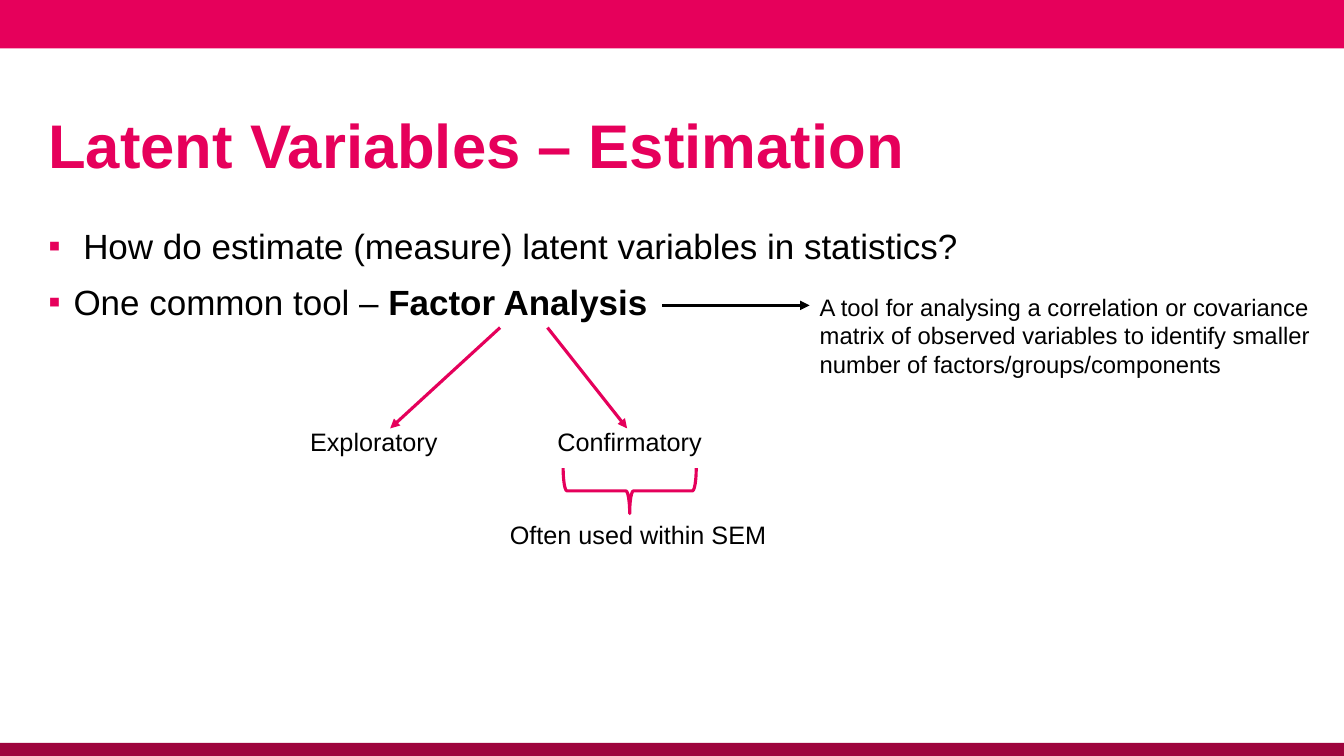
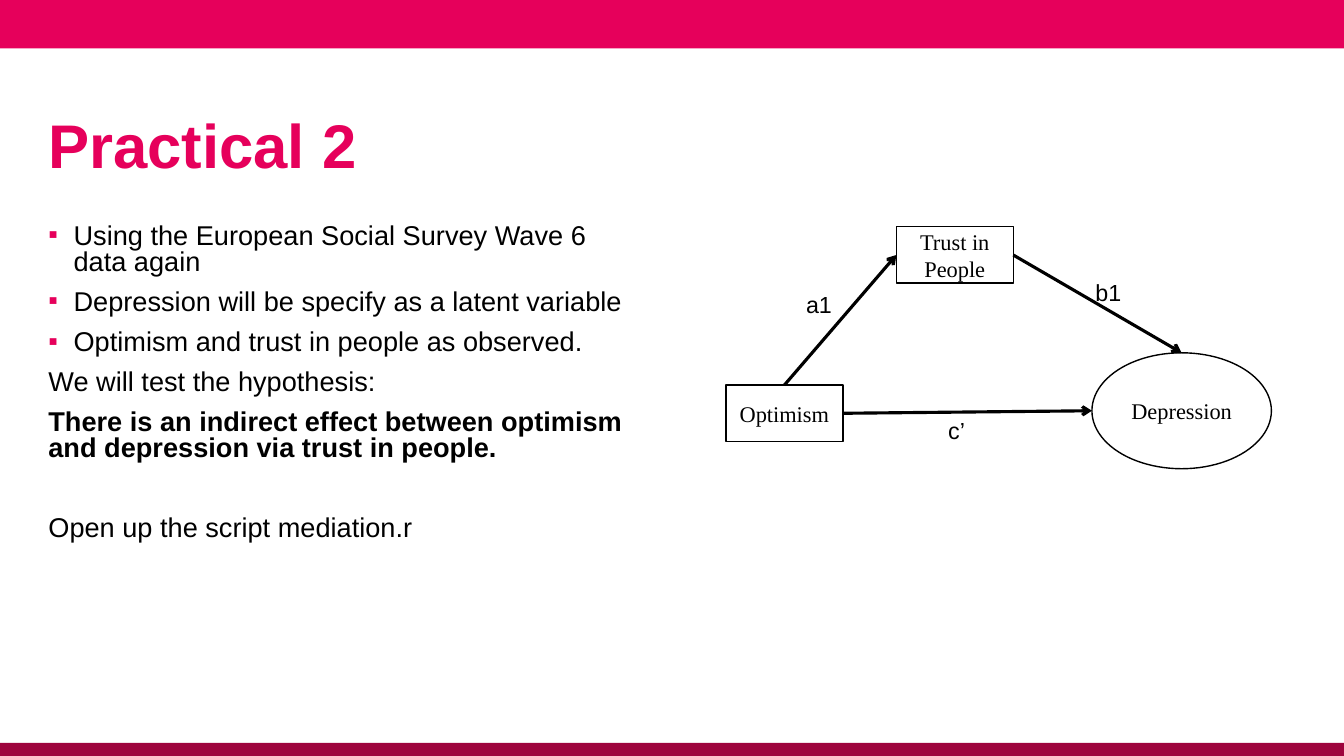
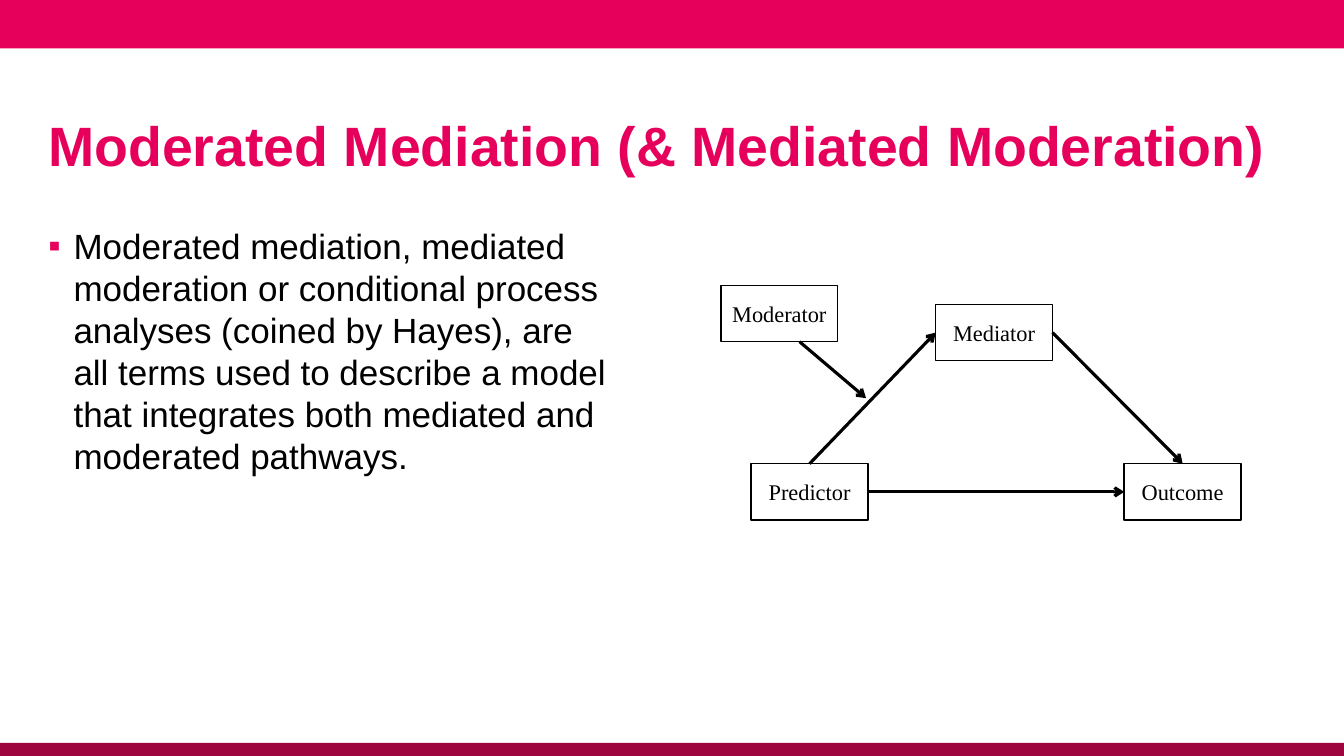
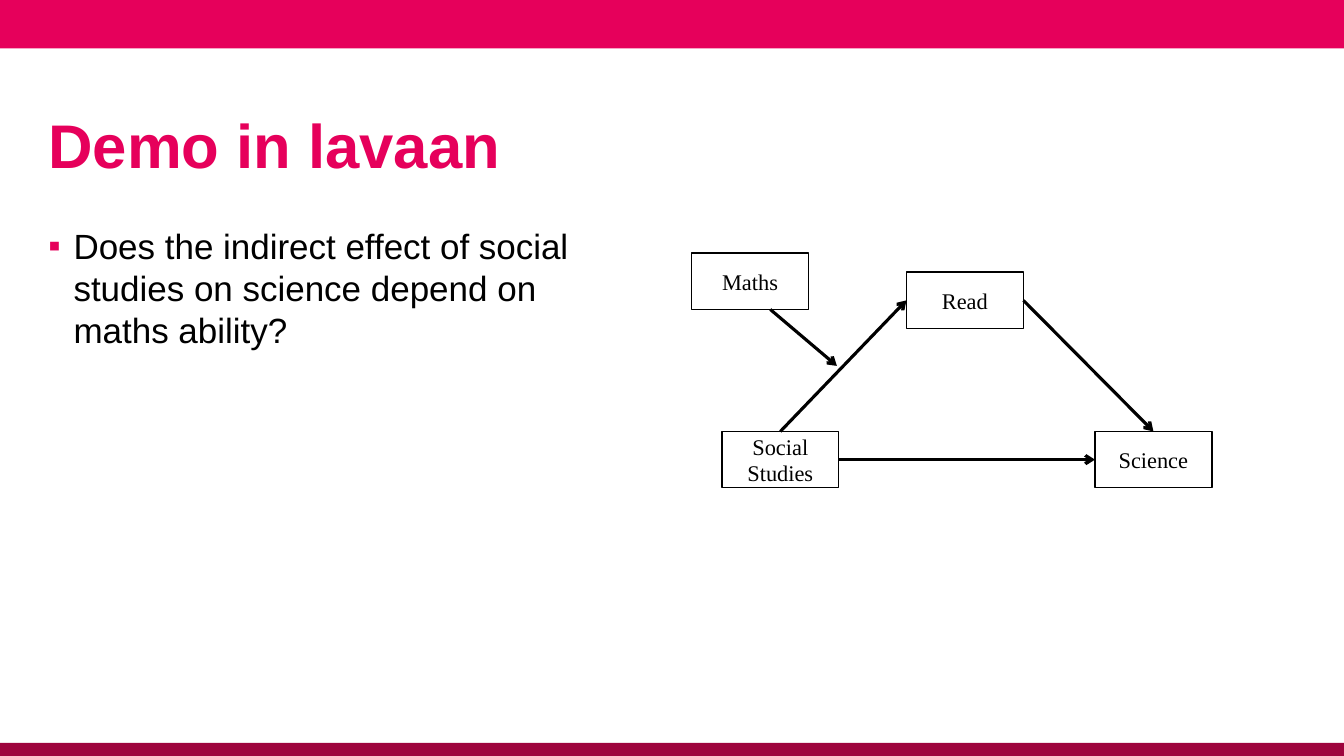
from dataclasses import dataclass

from lxml import etree
from pptx import Presentation
from pptx.dml.color import RGBColor
from pptx.enum.shapes import MSO_CONNECTOR, MSO_SHAPE
from pptx.enum.text import MSO_ANCHOR, PP_ALIGN
from pptx.oxml.ns import qn
from pptx.util import Inches, Pt

RECT, ELLIPSE, BRACE = MSO_SHAPE.RECTANGLE, MSO_SHAPE.OVAL, MSO_SHAPE.RIGHT_BRACE
STRAIGHT = MSO_CONNECTOR.STRAIGHT
TOP, MIDDLE, BOTTOM = MSO_ANCHOR.TOP, MSO_ANCHOR.MIDDLE, MSO_ANCHOR.BOTTOM
LEFT, CENTER, RIGHT = PP_ALIGN.LEFT, PP_ALIGN.CENTER, PP_ALIGN.RIGHT

SLIDE_W, SLIDE_H = 13.33, 7.5
TITLE_BOX = (0.48, 0.88, 12.36, 1.1)
BODY_X, BODY_Y, BODY_H = 0.48, 2.18, 4.06
NODE_W, NODE_H = 1.16, 0.56
TEXT_INSETS = (0, 0.05, 0.1, 0.05)
NO_INSETS = (0, 0, 0, 0)


@dataclass(frozen=True)
class Theme:
    pink: RGBColor = RGBColor(0xE6, 0x00, 0x5B)
    accent: RGBColor = RGBColor(0xE5, 0x00, 0x5B)
    wine: RGBColor = RGBColor(0x9E, 0x04, 0x3D)
    black: RGBColor = RGBColor(0x00, 0x00, 0x00)
    sans: str = "Arial"
    serif: str = "Times New Roman"
    title: float = 44
    long_title: float = 39.6
    body: float = 25
    dense_body: float = 19.4
    caption: float = 18
    note: float = 17
    path_label: float = 16.6
    node: float = 16
    thin: float = 1
    thick: float = 2.25


T = Theme()


# Text
def add_run(p, text, size, color=T.black, bold=False, font=T.sans):
    r = p.add_run()
    r.text = text
    r.font.name, r.font.size, r.font.bold = font, Pt(size), bold
    r.font.color.rgb = color


def set_frame(tf, anchor, insets):
    tf.word_wrap = True
    tf.vertical_anchor = anchor
    (tf.margin_left, tf.margin_top,
     tf.margin_right, tf.margin_bottom) = map(Inches, insets)


def add_text(slide, box, lines, size, align=LEFT, anchor=BOTTOM,
             insets=NO_INSETS, **style):
    tf = slide.shapes.add_textbox(*map(Inches, box)).text_frame
    set_frame(tf, anchor, insets)
    for i, line in enumerate(lines):
        p = tf.add_paragraph() if i else tf.paragraphs[0]
        p.alignment = align
        add_run(p, line, size, **style)


def add_label(slide, text, right, bottom, size):
    """Right-aligned caption that ends at the given corner."""
    w, h = 3, 0.33
    add_text(slide, (right - w, bottom - h, w, h), [text], size, RIGHT)


def add_bullet(p):
    pPr = p._p.get_or_add_pPr()
    pPr.set("marL", str(Inches(0.25)))
    pPr.set("indent", str(-Inches(0.25)))
    color = etree.SubElement(pPr, qn("a:buClr"))
    etree.SubElement(color, qn("a:srgbClr"), val=str(T.pink))
    etree.SubElement(pPr, qn("a:buFont"), typeface=T.sans)
    etree.SubElement(pPr, qn("a:buChar"), char="▪")


def add_body(slide, width, paragraphs, size=T.body, spacing=1.0):
    """Each paragraph is (runs, bulleted, space before); a run is (text, bold)."""
    box = (BODY_X, BODY_Y, width, BODY_H)
    tf = slide.shapes.add_textbox(*map(Inches, box)).text_frame
    set_frame(tf, TOP, TEXT_INSETS)
    for i, (runs, bulleted, before) in enumerate(paragraphs):
        p = tf.add_paragraph() if i else tf.paragraphs[0]
        p.line_spacing, p.space_before = spacing, Pt(before)
        if bulleted:
            add_bullet(p)
        for text, bold in runs:
            add_run(p, text, size, bold=bold)


def para(text, bulleted=True, bold=False, before=10):
    return [(text, bold)], bulleted, before


# Shapes and lines
def add_shape(slide, kind, box, fill=None, line=None, width=T.thin):
    s = slide.shapes.add_shape(kind, *map(Inches, box))
    s.shadow.inherit = False
    if fill is None:
        s.fill.background()
    else:
        s.fill.solid()
        s.fill.fore_color.rgb = fill
    if line is None:
        s.line.fill.background()
    else:
        s.line.color.rgb, s.line.width = line, Pt(width)
    return s


def add_arrow(slide, start, end, color=T.black, head="arrow"):
    c = slide.shapes.add_connector(STRAIGHT, *map(Inches, (*start, *end)))
    c.line.color.rgb, c.line.width = color, Pt(T.thick)
    etree.SubElement(c.line._get_or_add_ln(), qn("a:tailEnd"), type=head)
    etree.SubElement(c._element.spPr, qn("a:effectLst"))
    return c


def add_node(slide, text, x, y, w=NODE_W, h=NODE_H, kind=RECT):
    s = add_shape(slide, kind, (x, y, w, h), line=T.black)
    set_frame(s.text_frame, MIDDLE, (0.1, 0.05, 0.1, 0.05))
    p = s.text_frame.paragraphs[0]
    p.alignment = CENTER
    add_run(p, text, T.node, font=T.serif)
    return s


def site(s, side):
    """Connection site number and point on one side of a node."""
    step = 2 if s.auto_shape_type == ELLIPSE else 1
    mid_x, mid_y = s.left + s.width // 2, s.top + s.height // 2
    index, point = {"top": (0, (mid_x, s.top)),
                    "left": (1, (s.left, mid_y)),
                    "right": (3, (s.left + s.width, mid_y))}[side]
    return index * step, point


def link(slide, source, source_side, target, target_side):
    i, start = site(source, source_side)
    j, end = site(target, target_side)
    c = add_arrow(slide, (0, 0), (1, 1))
    c.begin_connect(source, i)
    c.end_connect(target, j)
    c.begin_x, c.begin_y = start
    c.end_x, c.end_y = end


# Path diagrams
def mediation_paths(slide, predictor, mediator, outcome):
    link(slide, predictor, "right", outcome, "left")
    link(slide, predictor, "top", mediator, "left")
    link(slide, mediator, "right", outcome, "top")


def latent_mediation(slide, x, y):
    predictor = add_node(slide, "Optimism", x, y + 1.57)
    mediator = add_node(slide, "Trust in People", x + 1.69, y)
    outcome = add_node(slide, "Depression", x + 3.63, y + 1.25, 1.78, 1.15, ELLIPSE)
    mediation_paths(slide, predictor, mediator, outcome)
    for text, right, bottom in (("a1", 1.05, 0.91), ("b1", 3.92, 0.79),
                                ("c’", 2.37, 2.16)):
        add_label(slide, text, x + right, y + bottom, T.path_label)


def moderated_mediation(slide, x, y, moderator, predictor, mediator, outcome):
    add_node(slide, moderator, x, y)
    mediation_paths(slide,
                    add_node(slide, predictor, x + 0.3, y + 1.77),
                    add_node(slide, mediator, x + 2.13, y + 0.19),
                    add_node(slide, outcome, x + 4, y + 1.77))
    add_arrow(slide, (x + 0.78, y + NODE_H), (x + 1.44, y + 1.12))


def factor_analysis_tree(slide, x, y):
    """Two branches below the term, and its definition on the right."""
    for start, end in ((1.09, 0), (1.56, 2.35)):
        add_arrow(slide, (x + start, y), (x + end, y + 1), T.accent, "triangle")
    add_label(slide, "Exploratory", x + 0.47, y + 1.28, T.caption)
    add_label(slide, "Confirmatory", x + 3.09, y + 1.28, T.caption)
    brace = add_shape(slide, BRACE, (x + 2.15, y + 0.96, 0.45, 1.32),
                      line=T.accent, width=T.thick)
    brace.rotation = 90
    add_label(slide, "Often used within SEM", x + 3.73, y + 2.2, T.caption)
    add_arrow(slide, (x + 2.7, y - 0.22), (x + 4.16, y - 0.22), head="triangle")
    add_text(slide, (x + 4.26, y - 0.4, 5, 0.9),
             ["A tool for analysing a correlation or covariance",
              "matrix of observed variables to identify smaller",
              "number of factors/groups/components"], T.note)


# Slides
def base_slide(prs, title, size=T.title):
    slide = prs.slides.add_slide(prs.slide_layouts[6])
    add_shape(slide, RECT, (0, 0, SLIDE_W, 0.48), fill=T.pink)
    add_shape(slide, RECT, (0, 7.37, SLIDE_W, 0.13), fill=T.wine)
    add_text(slide, TITLE_BOX, [title], size, anchor=MIDDLE,
             insets=TEXT_INSETS, color=T.pink, bold=True)
    return slide


def estimation_slide(prs):
    slide = base_slide(prs, "Latent Variables – Estimation")
    tool = [("One common tool – ", False), ("Factor Analysis", True)]
    add_body(slide, 12.36, [
        para(" How do estimate (measure) latent variables in statistics?"),
        (tool, True, 10)])
    factor_analysis_tree(slide, 3.87, 3.25)


def practical_slide(prs):
    slide = base_slide(prs, "Practical 2")
    add_body(slide, 5.99, [
        para("Using the European Social Survey Wave 6 data again"),
        para("Depression will be specify as a latent variable"),
        para("Optimism and trust in people as observed."),
        para("We will test the hypothesis:", bulleted=False),
        para("There is an indirect effect between optimism and depression "
             "via trust in people.", bulleted=False, bold=True),
        para("Open up the script mediation.r", bulleted=False, before=38.5),
    ], T.dense_body, 0.8)
    latent_mediation(slide, 7.2, 2.25)


def moderated_slide(prs):
    slide = base_slide(prs, "Moderated Mediation (& Mediated Moderation)",
                       T.long_title)
    add_body(slide, 5.7, [para(
        "Moderated mediation, mediated moderation or conditional process "
        "analyses (coined by Hayes), are all terms used to describe a model "
        "that integrates both mediated and moderated pathways.")])
    moderated_mediation(slide, 7.15, 2.83,
                        "Moderator", "Predictor", "Mediator", "Outcome")


def demo_slide(prs):
    slide = base_slide(prs, "Demo in lavaan")
    add_body(slide, 5.8, [para(
        "Does the indirect effect of social studies on science depend on "
        "maths ability?")])
    moderated_mediation(slide, 6.86, 2.51,
                        "Maths", "Social Studies", "Read", "Science")


def main():
    prs = Presentation()
    prs.slide_width, prs.slide_height = Inches(SLIDE_W), Inches(SLIDE_H)
    for build in (estimation_slide, practical_slide, moderated_slide, demo_slide):
        build(prs)
    prs.save("out.pptx")


if __name__ == "__main__":
    main()
